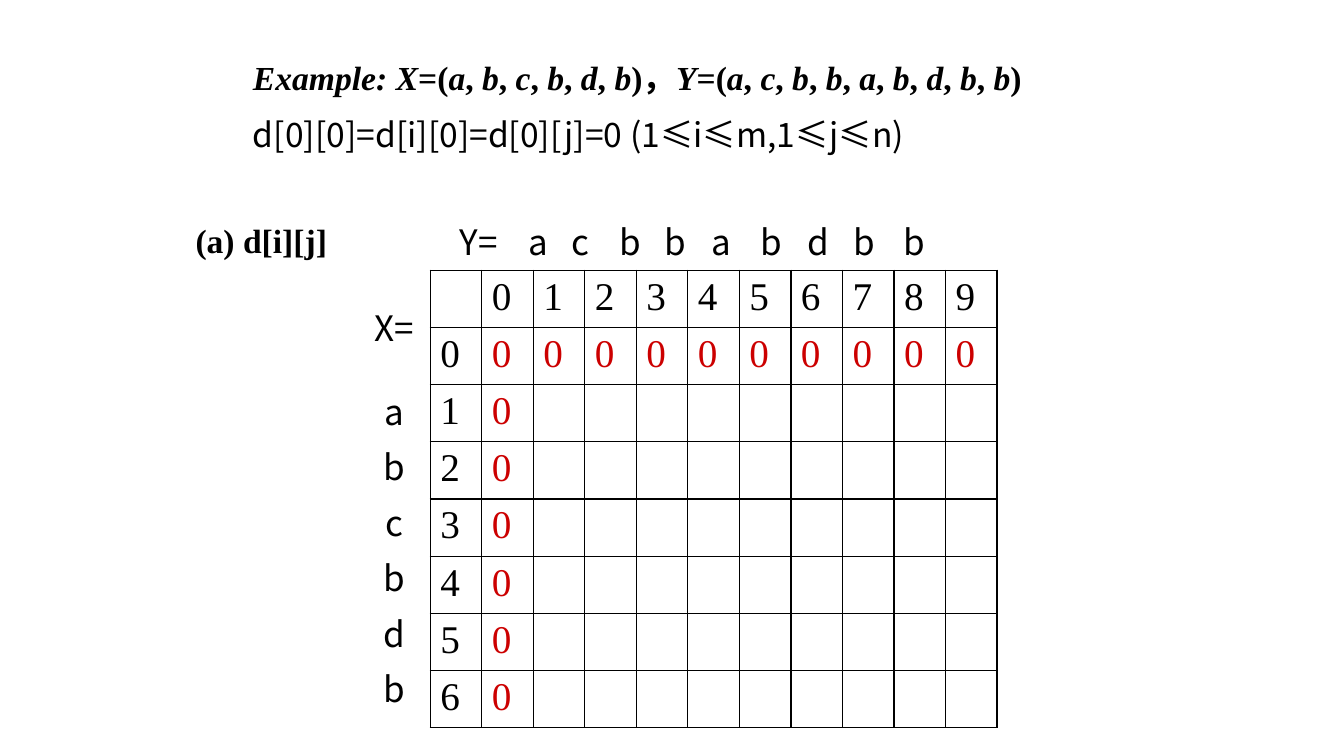
import itertools
from dataclasses import dataclass

import pptx
import pptx.dml.color
import pptx.enum.text
import pptx.oxml
import pptx.oxml.ns
import pptx.util

Pt = pptx.util.Pt
Align = pptx.enum.text.PP_ALIGN
Anchor = pptx.enum.text.MSO_ANCHOR


@dataclass(frozen=True)
class Theme:
    """Colours, fonts and type sizes of the slide."""

    ink: str = "000000"
    initial: str = "CC0000"
    serif: str = "Times New Roman"
    sans: str = "Noto Sans CJK SC"
    heading_size: float = 24
    label_size: float = 25
    cell_size: float = 28
    leading: float = 1.2


THEME = Theme()
EXAMPLE = "Example: X=(a, b, c, b, d, b)，Y=(a, c, b, b, a, b, d, b, b)"
BASE_CASE = "d[0][0]=d[i][0]=d[0][j]=0 (1≤i≤m,1≤j≤n)"
X_LETTERS = "abcbdb"
Y_LETTERS = "acbbabdbb"
Y_STOPS = (56, 86, 122, 154, 187, 223, 256, 289, 325)
COLUMN_WIDTH = 36.8
ROW_HEIGHT = 40.85


def style_span(span, font, size, color=THEME.ink, bold=False, italic=False):
    """Give a run its font, size, colour and weight."""
    span.font.name = font
    span.font.size = Pt(size)
    span.font.bold = bold
    span.font.italic = italic
    span.font.color.rgb = pptx.dml.color.RGBColor.from_string(color)


def prepare_frame(box, inset=(7.2, 3.6, 7.2, 3.6), anchor=Anchor.TOP):
    """Set wrapping, insets and anchor, and return the text frame."""
    frame = box.text_frame
    frame.auto_size = pptx.enum.text.MSO_AUTO_SIZE.NONE
    frame.word_wrap = True
    frame.vertical_anchor = anchor
    frame.margin_left, frame.margin_top, frame.margin_right, frame.margin_bottom = map(Pt, inset)
    return frame


def space_para(para, size, before=0, align=Align.LEFT):
    """Set the exact line height, the space before and the alignment."""
    para.line_spacing = Pt(size * THEME.leading)
    para.space_before = Pt(before)
    para.alignment = align


def add_heading(page):
    """Place the example sequences and the base case in the title."""
    title = page.shapes.title
    title.left, title.top, title.width, title.height = Pt(173.5), Pt(36.7), Pt(629), Pt(80)
    frame = prepare_frame(title)
    example = frame.paragraphs[0]
    space_para(example, THEME.heading_size)
    for italic, marks in itertools.groupby(EXAMPLE, lambda mark: mark not in "=(), ，"):
        span = example.add_run()
        span.text = "".join(marks)
        style_span(span, THEME.serif, THEME.heading_size, bold=True, italic=italic)
    base_case = frame.add_paragraph()
    base_case.text = BASE_CASE
    space_para(base_case, THEME.heading_size, before=12)
    style_span(base_case.runs[0], THEME.sans, THEME.heading_size)


def add_caption(page):
    """Place the caption of the table."""
    box = page.shapes.add_textbox(Pt(139.7), Pt(157), Pt(153), Pt(32))
    frame = prepare_frame(box, inset=(0, 0, 0, 0))
    frame.text = "(a) d[i][j]"
    style_span(frame.paragraphs[0].runs[0], THEME.serif, THEME.heading_size, bold=True)


def add_x_labels(page):
    """Stack the letters of X beside the table rows."""
    box = page.shapes.add_textbox(Pt(259.2), Pt(215.3), Pt(45.4), Pt(295.2))
    frame = prepare_frame(box, anchor=Anchor.MIDDLE)
    frame.text = "\n".join(("X=", *X_LETTERS))
    gaps = (0, 30) + (9.6,) * (len(X_LETTERS) - 1)
    for para, gap in zip(frame.paragraphs, gaps):
        space_para(para, THEME.label_size, before=gap, align=Align.CENTER)
        style_span(para.runs[0], THEME.sans, THEME.label_size)


def add_y_labels(page):
    """Set the letters of Y on centred tab stops above the table."""
    box = page.shapes.add_textbox(Pt(315.4), Pt(154.1), Pt(425.5), Pt(37.4))
    frame = prepare_frame(box, inset=(12.8, 3.6, 7.2, 3.6), anchor=Anchor.MIDDLE)
    frame.text = "\t".join(("Y=", *Y_LETTERS))
    para = frame.paragraphs[0]
    space_para(para, THEME.label_size)
    stops = pptx.oxml.parse_xml(f'<a:tabLst {pptx.oxml.ns.nsdecls("a")}/>')
    for stop in Y_STOPS:
        stops.append(pptx.oxml.parse_xml(
            f'<a:tab {pptx.oxml.ns.nsdecls("a")} pos="{Pt(stop)}" algn="ctr"/>'))
    para._p.get_or_add_pPr().append(stops)
    for span in para.runs:
        style_span(span, THEME.sans, THEME.label_size)


def outline_cell(cell):
    """Draw the four borders of a cell and leave it unfilled."""
    properties = cell._tc.get_or_add_tcPr()
    for side in ("lnL", "lnR", "lnT", "lnB"):
        properties.append(pptx.oxml.parse_xml(
            f'<a:{side} {pptx.oxml.ns.nsdecls("a")} w="{Pt(1)}"><a:solidFill>'
            f'<a:srgbClr val="{THEME.ink}"/></a:solidFill></a:{side}>'))
    cell.fill.background()


def cell_value(row, column):
    """Return the text and colour of a table cell."""
    if row == 0:
        return (str(column - 1) if column else ""), THEME.ink
    if column == 0:
        return str(row - 1), THEME.ink
    return ("0" if row == 1 or column == 1 else ""), THEME.initial


def add_matrix(page):
    """Add the table of d with its initial row and column."""
    rows, columns = len(X_LETTERS) + 2, len(Y_LETTERS) + 2
    table = page.shapes.add_table(
        rows, columns, Pt(307.4), Pt(193),
        Pt(columns * COLUMN_WIDTH), Pt(rows * ROW_HEIGHT)).table
    table.first_row = table.horz_banding = False
    for column in table.columns:
        column.width = Pt(COLUMN_WIDTH)
    for row in table.rows:
        row.height = Pt(ROW_HEIGHT)
    for row, column in itertools.product(range(rows), range(columns)):
        cell = table.cell(row, column)
        outline_cell(cell)
        text, color = cell_value(row, column)
        if text:
            cell.text = text
            style_span(cell.text_frame.paragraphs[0].runs[0], THEME.serif, THEME.cell_size, color)


def main():
    """Build the slide and save it."""
    deck = pptx.Presentation()
    deck.slide_width, deck.slide_height = Pt(960), Pt(540)
    page = deck.slides.add_slide(deck.slide_layouts[5])
    add_caption(page)
    add_matrix(page)
    add_heading(page)
    add_x_labels(page)
    add_y_labels(page)
    deck.save("out.pptx")


if __name__ == "__main__":
    main()
